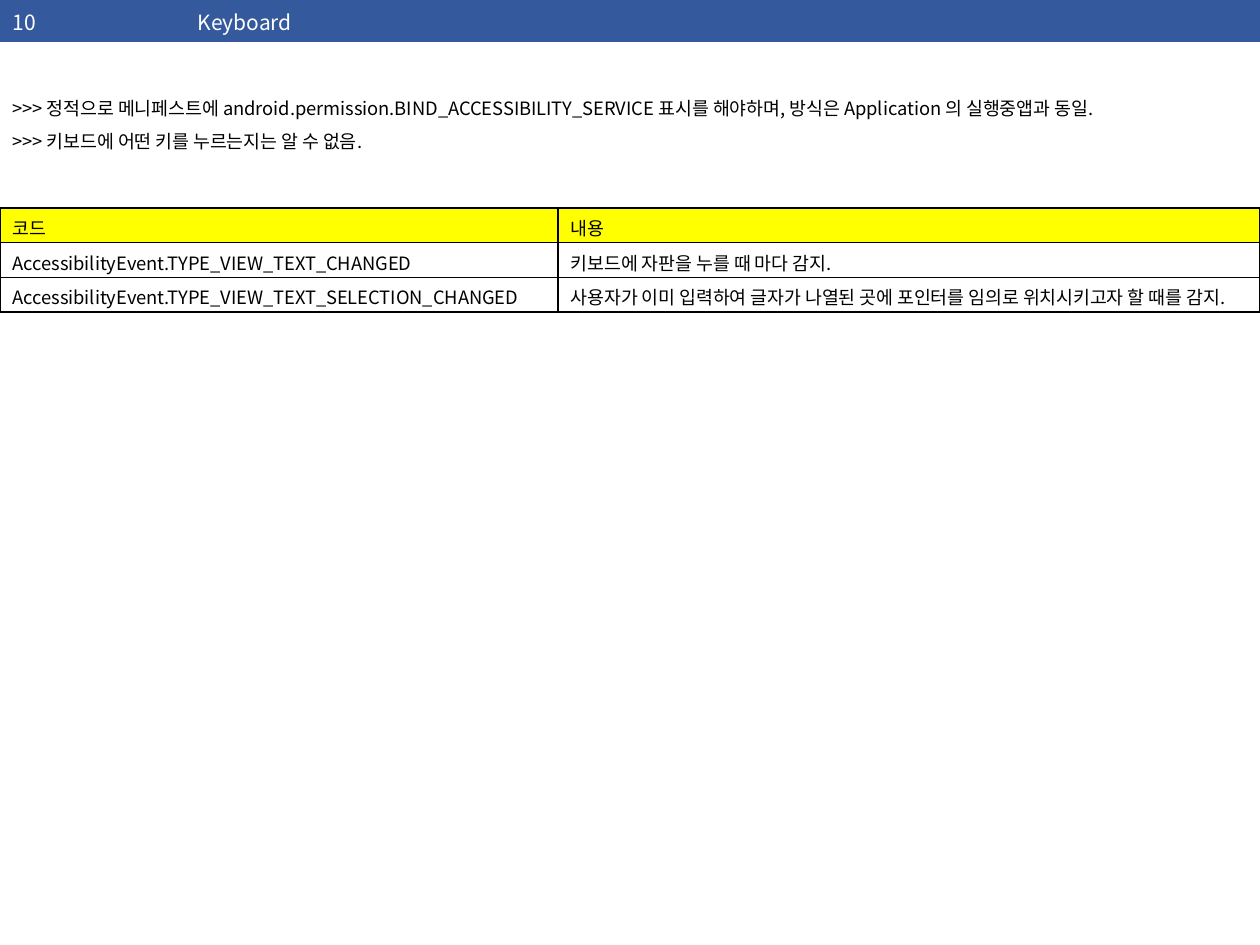
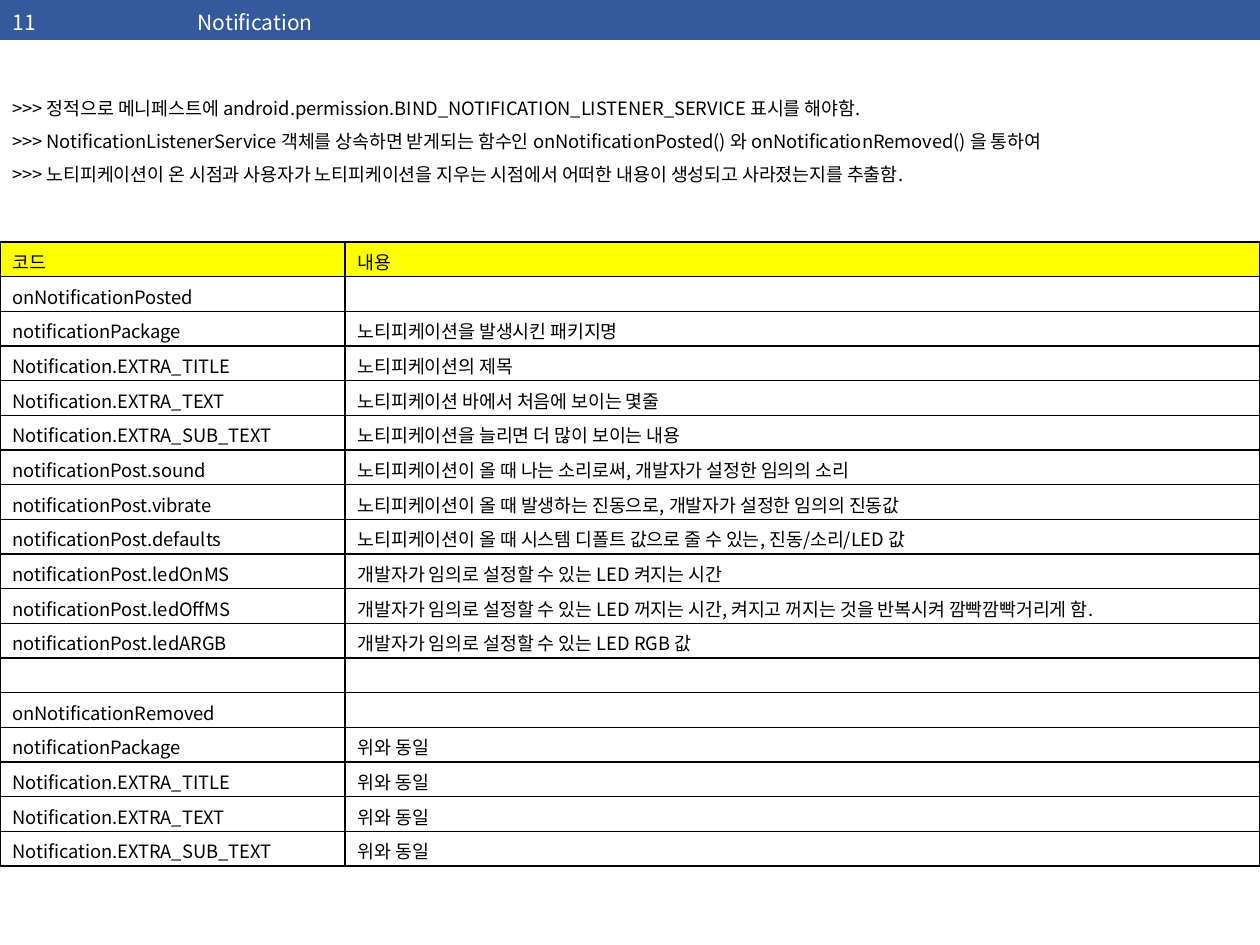
from lxml.etree import SubElement
from pptx import Presentation
from pptx.dml.color import RGBColor
from pptx.enum.text import MSO_ANCHOR as Anchor, MSO_AUTO_SIZE as AutoSize
from pptx.oxml.ns import qn
from pptx.util import Inches, Pt

BLUE = RGBColor(0x34, 0x59, 0x9C)
YELLOW = RGBColor(0xFF, 0xFF, 0x00)
WHITE = RGBColor(0xFF, 0xFF, 0xFF)
BLACK = RGBColor(0x00, 0x00, 0x00)

FONT = "Noto Sans CJK KR"
TITLE_FORMAT = {"size": Pt(12), "name": FONT}
BODY_FORMAT = {"size": Pt(10.5), "name": FONT}
PLAIN_STYLE = "{2D5ABB26-0587-4C30-8999-92F81FD0307C}"

deck = Presentation()
deck.slide_width, deck.slide_height = Inches(10), Inches(7.5)
WIDTH = deck.slide_width

BAND_HEIGHT = Inches(0.33)
NUMBER_SHARE = 0.147
NOTES_TOP = Inches(0.72)
LINE = Inches(0.27)
ROW = Inches(0.275)

SAME = "위와 동일"
HEADER = ("코드", "내용")
topics = [
    {
        "title": ("10", "Keyboard"),
        "notes": [
            ">>> 정적으로 메니페스트에 android.permission.BIND_ACCESSIBILITY_SERVICE "
            "표시를 해야하며, 방식은 Application 의 실행중앱과 동일.",
            ">>> 키보드에 어떤 키를 누르는지는 알 수 없음.",
        ],
        "table_top": Inches(1.65),
        "code_share": 0.443,
        "rows": [
            HEADER,
            ("AccessibilityEvent.TYPE_VIEW_TEXT_CHANGED",
             "키보드에 자판을 누를 때 마다 감지."),
            ("AccessibilityEvent.TYPE_VIEW_TEXT_SELECTION_CHANGED",
             "사용자가 이미 입력하여 글자가 나열된 곳에 포인터를 임의로 위치시키고자 할 때를 감지."),
        ],
    },
    {
        "title": ("11", "Notification"),
        "notes": [
            ">>> 정적으로 메니페스트에 "
            "android.permission.BIND_NOTIFICATION_LISTENER_SERVICE 표시를 해야함.",
            ">>> NotificationListenerService 객체를 상속하면 받게되는 함수인 "
            "onNotificationPosted() 와 onNotificationRemoved() 을 통하여",
            ">>> 노티피케이션이 온 시점과 사용자가 노티피케이션을 지우는 시점에서 "
            "어떠한 내용이 생성되고 사라졌는지를 추출함.",
        ],
        "table_top": Inches(1.92),
        "code_share": 0.274,
        "rows": [
            HEADER,
            ("onNotificationPosted", ""),
            ("notificationPackage", "노티피케이션을 발생시킨 패키지명"),
            ("Notification.EXTRA_TITLE", "노티피케이션의 제목"),
            ("Notification.EXTRA_TEXT", "노티피케이션 바에서 처음에 보이는 몇줄"),
            ("Notification.EXTRA_SUB_TEXT", "노티피케이션을 늘리면 더 많이 보이는 내용"),
            ("notificationPost.sound",
             "노티피케이션이 올 때 나는 소리로써, 개발자가 설정한 임의의 소리"),
            ("notificationPost.vibrate",
             "노티피케이션이 올 때 발생하는 진동으로, 개발자가 설정한 임의의 진동값"),
            ("notificationPost.defaults",
             "노티피케이션이 올 때 시스템 디폴트 값으로 줄 수 있는, 진동/소리/LED 값"),
            ("notificationPost.ledOnMS", "개발자가 임의로 설정할 수 있는 LED 켜지는 시간"),
            ("notificationPost.ledOffMS",
             "개발자가 임의로 설정할 수 있는 LED 꺼지는 시간, "
             "켜지고 꺼지는 것을 반복시켜 깜빡깜빡거리게 함."),
            ("notificationPost.ledARGB", "개발자가 임의로 설정할 수 있는 LED RGB 값"),
            ("", ""),
            ("onNotificationRemoved", ""),
            ("notificationPackage", SAME),
            ("Notification.EXTRA_TITLE", SAME),
            ("Notification.EXTRA_TEXT", SAME),
            ("Notification.EXTRA_SUB_TEXT", SAME),
        ],
    },
]


def write(para, text, text_format, color):
    """Put text into a paragraph; an empty one keeps the size of its line."""
    if not text:
        size = str(text_format["size"].centipoints)
        SubElement(para._p, qn("a:endParaRPr"), sz=size)
        return
    span = para.add_run()
    span.text = text
    for name, value in text_format.items():
        setattr(span.font, name, value)
    span.font.color.rgb = color
    SubElement(span.font._element, qn("a:ea"), typeface=text_format["name"])


def add_grid(page, top, row_height, share, rows, text_format, color,
             header_fill, sides, border, weight):
    """Add a full-width table of two columns with a filled first row."""
    frame = page.shapes.add_table(len(rows), 2, 0, top, WIDTH,
                                  row_height * len(rows))
    table = frame.table
    table.first_row = table.horz_banding = False
    table._tbl.tblPr.find(qn("a:tableStyleId")).text = PLAIN_STYLE
    for column, part in zip(table.columns, (share, 1 - share)):
        column.width = round(WIDTH * part)
    for row_index, texts in enumerate(rows):
        table.rows[row_index].height = row_height
        for column_index, text in enumerate(texts):
            cell = table.cell(row_index, column_index)
            write(cell.text_frame.paragraphs[0], text, text_format, color)
            properties = cell._tc.get_or_add_tcPr()
            for side in sides:
                line = SubElement(properties, qn(f"a:ln{side}"), w=str(Pt(weight)))
                paint = SubElement(line, qn("a:solidFill"))
                SubElement(paint, qn("a:srgbClr"), val=str(border))
            if row_index == 0:
                cell.vertical_anchor = Anchor.MIDDLE
                cell.fill.solid()
                cell.fill.fore_color.rgb = header_fill
            else:
                cell.fill.background()


for topic in topics:
    page = deck.slides.add_slide(deck.slide_layouts[6])
    add_grid(page, 0, BAND_HEIGHT, NUMBER_SHARE, [topic["title"]],
             TITLE_FORMAT, WHITE, BLUE, "B", WHITE, 2)

    notes = topic["notes"]
    box = page.shapes.add_textbox(0, NOTES_TOP, WIDTH, LINE * len(notes))
    frame = box.text_frame
    frame.word_wrap = True
    frame.auto_size = AutoSize.SHAPE_TO_FIT_TEXT
    for index, note in enumerate(notes):
        para = frame.add_paragraph() if index else frame.paragraphs[0]
        if index:
            para.line_spacing = 1.5
        write(para, note, BODY_FORMAT, BLACK)

    add_grid(page, topic["table_top"], ROW, topic["code_share"], topic["rows"],
             BODY_FORMAT, BLACK, YELLOW, "LRTB", BLACK, 1)

deck.save("out.pptx")
